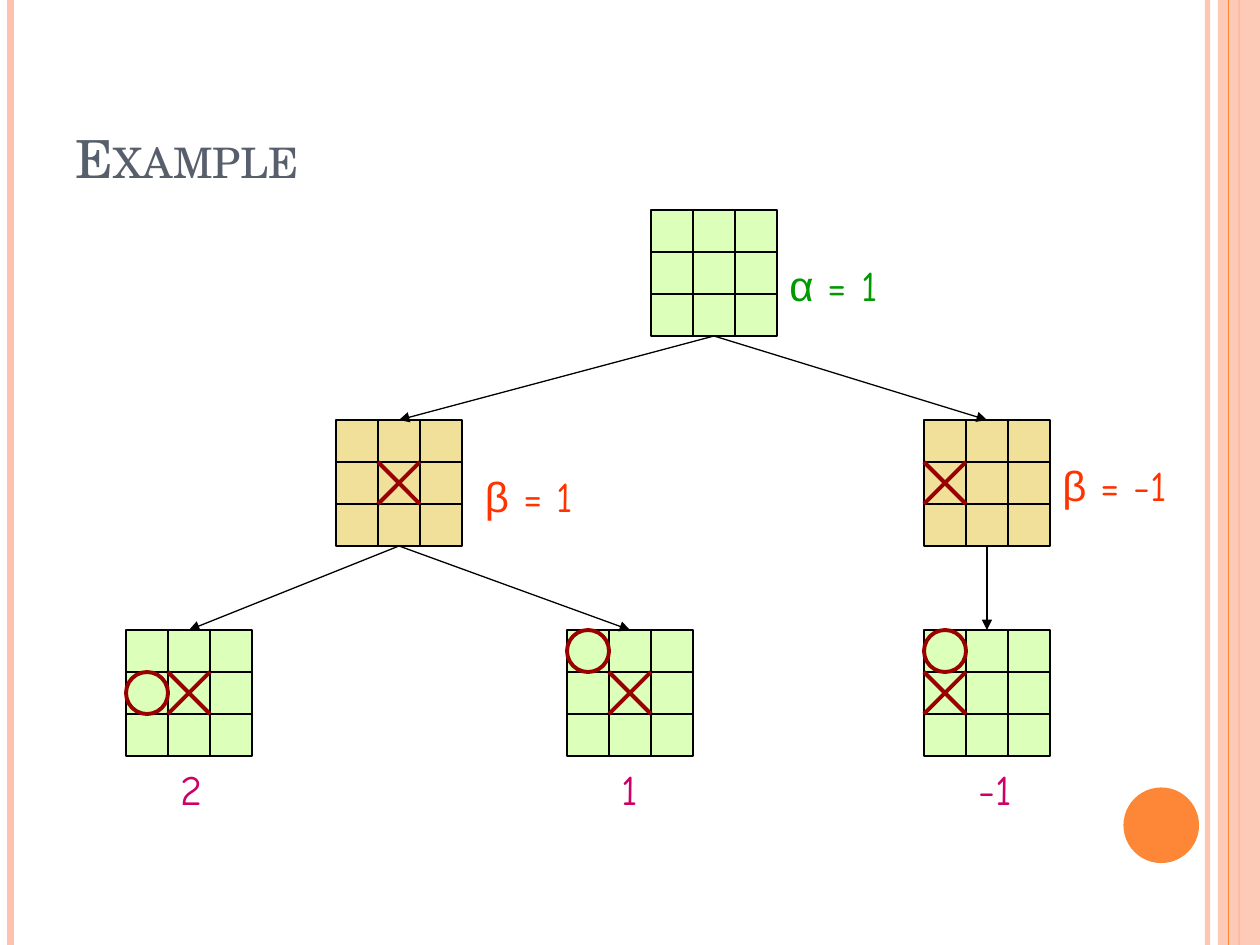
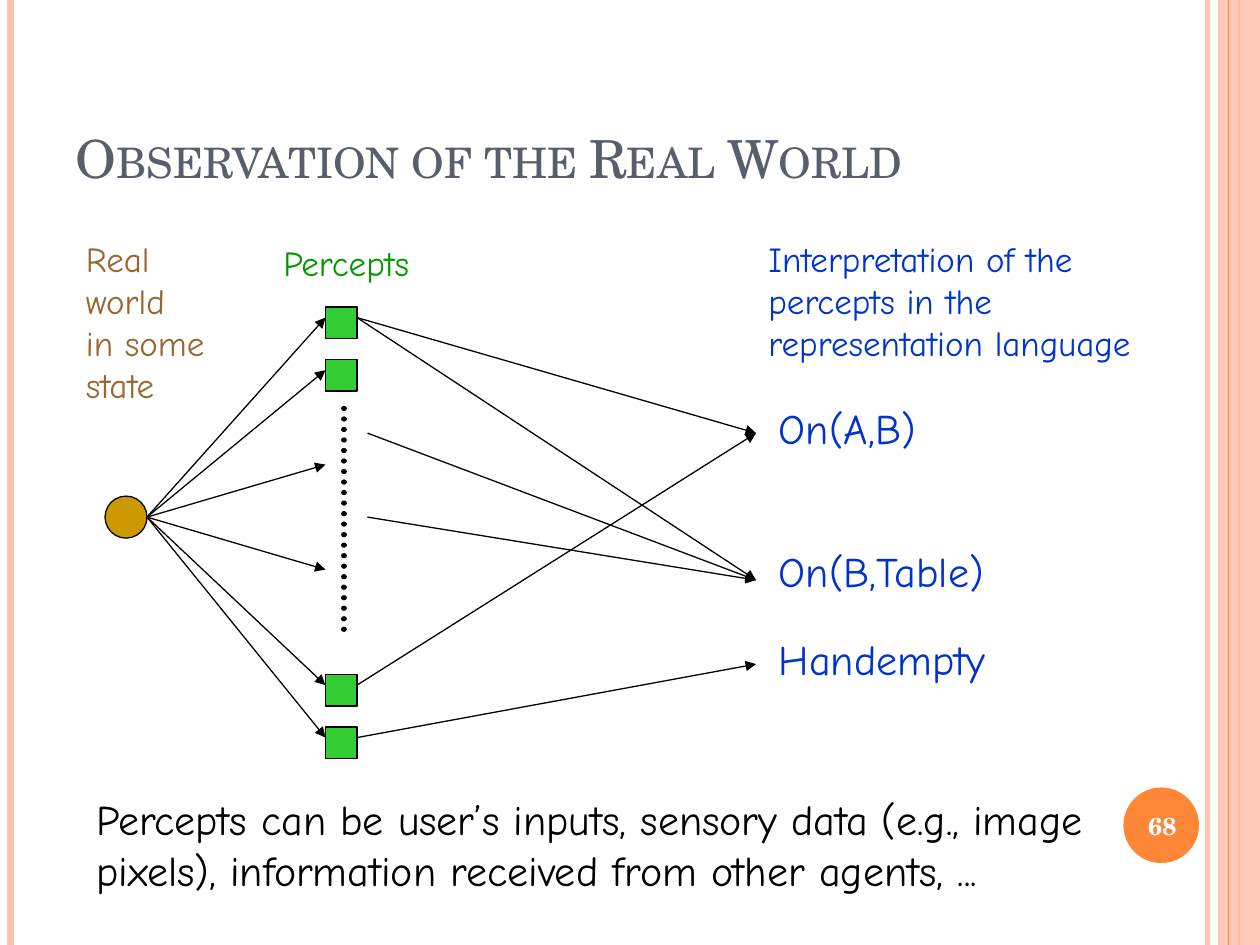
from dataclasses import dataclass
from itertools import product

from lxml import etree
from pptx import Presentation, util as u
from pptx.dml.color import RGBColor
from pptx.enum import dml, shapes, text
from pptx.oxml.ns import qn

# Grid: 120 columns by 90 rows on a 10 x 7.5 inch slide
WIDE, HIGH = u.Inches(10), u.Inches(7.5)
COLS, ROWS = 120, 90

SERIF, HAND, GREEK = "TeX Gyre Schola", "Comic Neue", "Arial"
PEACH, ORANGE, SLATE = "FEC3AE", "FE8637", "575F6D"
BLACK, WHITE, LIME, SAND = "000000", "FFFFFF", "DCFFB9", "F0E09A"
MARK, SCORE, GREEN, RED = "990000", "CC0066", "009900", "FF3300"
BLUE, BROWN, GOLD, LEAF = "0033CC", "996633", "CC9900", "33CC33"
RECT, OVAL = shapes.MSO_SHAPE.RECTANGLE, shapes.MSO_SHAPE.OVAL

Spot = tuple[float, float]


@dataclass
class Note:
    text: str
    col: float
    row: float
    wide: float
    high: float
    tint: str
    size: float = 24
    font: str = HAND
    greek: str = ""
    wrap: bool = False
    bold: bool = False
    caps: bool = False
    align: text.PP_ALIGN = text.PP_ALIGN.LEFT
    anchor: text.MSO_ANCHOR = text.MSO_ANCHOR.TOP


@dataclass
class Board:
    col: float
    row: float
    fill: str = LIME
    cross: Spot | None = None
    ring: Spot | None = None

    def top(self) -> Spot:
        return self.col + SIDE / 2, self.row

    def foot(self) -> Spot:
        return self.col + SIDE / 2, self.row + SIDE

    def cell(self, spot: Spot) -> Spot:
        return self.col + spot[0] * CELL, self.row + spot[1] * CELL


CELL = 4
SIDE = 3 * CELL


def across(col: float) -> int:
    return round(WIDE * col / COLS)


def down(row: float) -> int:
    return round(HIGH * row / ROWS)


def paint(part, tint: str, alpha: int = 100) -> None:
    """Give a fill a solid colour, see-through below 100 percent."""
    part.solid()
    part.fore_color.rgb = RGBColor.from_string(tint)
    if alpha < 100:
        clr = part._xPr.find(".//" + qn("a:srgbClr"))
        etree.SubElement(clr, qn("a:alpha"), val=str(alpha * 1000))


def line(slide, start: Spot, end: Spot, tint: str = BLACK, width: float = 0.75,
         arrow: bool = False, dots: bool = False, alpha: int = 100) -> None:
    link = slide.shapes.add_connector(
        shapes.MSO_CONNECTOR.STRAIGHT, across(start[0]), down(start[1]),
        across(end[0]), down(end[1]))
    paint(link.line.fill, tint, alpha)
    link.line.width = u.Pt(width)
    pen = link.line._get_or_add_ln()
    if dots:
        link.line.dash_style = dml.MSO_LINE.ROUND_DOT
        pen.set("cap", "rnd")
    if arrow:
        etree.SubElement(pen, qn("a:tailEnd"), type="triangle")
    etree.SubElement(link._element.spPr, qn("a:effectLst"))


def shape(slide, kind, spot: Spot, wide: float, high: float,
          fill: str | None = None, edge: str | None = None,
          width: float = 0.75, alpha: int = 100) -> None:
    form = slide.shapes.add_shape(
        kind, across(spot[0]), down(spot[1]), across(wide), down(high))
    form.shadow.inherit = False
    if fill:
        paint(form.fill, fill, alpha)
    else:
        form.fill.background()
    if edge:
        paint(form.line.fill, edge)
        form.line.width = u.Pt(width)
    else:
        form.line.fill.background()


def style(run, note: Note, font: str) -> None:
    run.font.name = font
    run.font.size = u.Pt(note.size)
    run.font.bold = note.bold
    run.font.color.rgb = RGBColor.from_string(note.tint)
    if note.caps:
        run._r.get_or_add_rPr().set("cap", "small")


def write(slide, note: Note) -> None:
    box = slide.shapes.add_textbox(across(note.col), down(note.row),
                                   across(note.wide), down(note.high))
    frame = box.text_frame
    frame.word_wrap = note.wrap
    frame.vertical_anchor = note.anchor
    if not note.wrap:
        frame.auto_size = text.MSO_AUTO_SIZE.SHAPE_TO_FIT_TEXT
    frame.text = note.greek or note.text
    for para in frame.paragraphs:
        para.alignment = note.align
        for run in para.runs:
            style(run, note, GREEK if note.greek else note.font)
    if note.greek:
        rest = frame.paragraphs[0].add_run()
        rest.text = note.text
        style(rest, note, note.font)


def base(deck, title: str, page: str = ""):
    """Add a slide with the side bands, the disc and the title."""
    slide = deck.slides.add_slide(deck.slide_layouts[6])
    line(slide, (115, 0), (115, ROWS), PEACH, 3, alpha=93)
    line(slide, (1, 0), (1, ROWS), PEACH, 4.5)
    line(slide, (118, 0), (118, ROWS), ORANGE, 1.5)
    shape(slide, RECT, (116, 0), 4, ROWS, PEACH, alpha=87)
    line(slide, (117, 0), (117, ROWS), ORANGE)
    shape(slide, OVAL, (107, 75), 7.2, 7.2, ORANGE)
    write(slide, Note(title, 6, 3.6, 98, 15, SLATE, 30, SERIF, wrap=True,
                      caps=True, anchor=text.MSO_ANCHOR.BOTTOM))
    if page:
        write(slide, Note(page, 106.7, 75.2, 8, 6.8, WHITE, 14, SERIF,
                          wrap=True, bold=True, align=text.PP_ALIGN.CENTER,
                          anchor=text.MSO_ANCHOR.MIDDLE))
    return slide


def draw(slide, board: Board) -> None:
    col, row = board.col, board.row
    shape(slide, RECT, (col, row), SIDE, SIDE, board.fill, BLACK)
    for step in (CELL, 2 * CELL):
        line(slide, (col + step, row), (col + step, row + SIDE))
        line(slide, (col, row + step), (col + SIDE, row + step))
    if board.cross:
        x, y = board.cell(board.cross)
        line(slide, (x, y), (x + CELL, y + CELL), MARK, 2.25)
        line(slide, (x, y + CELL), (x + CELL, y), MARK, 2.25)
    if board.ring:
        shape(slide, OVAL, board.cell(board.ring), CELL, CELL,
              edge=MARK, width=2.25)


def game(deck) -> None:
    slide = base(deck, "Example")

    # Boards of the search tree
    root = Board(62, 20)
    mid = Board(32, 40, SAND, cross=(1, 1))
    side = Board(88, 40, SAND, cross=(0, 1))
    ends = [Board(12, 60, cross=(1, 1), ring=(0, 1)),
            Board(54, 60, cross=(1, 1), ring=(0, 0)),
            Board(88, 60, cross=(0, 1), ring=(0, 0))]
    for board in (root, mid, side, *ends):
        draw(slide, board)

    # Moves
    for old, new in ((root, mid), (root, side), (mid, ends[0]),
                     (mid, ends[1]), (side, ends[2])):
        line(slide, old.foot(), new.top(), arrow=True)

    # Bounds and scores
    for note in (Note(" = 1", 74, 24.1, 11.2, 6, GREEN, greek="α"),
                 Note(" = 1", 45, 44.2, 10.8, 6, RED, greek="β"),
                 Note(" = -1", 100, 43.2, 13.7, 6, RED, greek="β"),
                 Note("2", 16, 72.1, 4.8, 6, SCORE),
                 Note("1", 58, 72.1, 4.2, 6, SCORE),
                 Note("-1", 92, 72.1, 5.9, 6, SCORE)):
        write(slide, note)


def world(deck) -> None:
    slide = base(deck, "Observation of the Real World", "68")

    # World state and percepts
    shape(slide, OVAL, (10, 47.25), 4, 4, GOLD, BLACK)
    rows = [30.25, 35.25, 65.25, 70.25]
    for row in rows:
        shape(slide, RECT, (31, row - 1), 3, 3, LEAF, BLACK)
    line(slide, (32.75, 38.9), (32.75, 60.9), width=3, dots=True)

    # Arrows from the world to the percepts
    for row in (*rows, 44.25, 54.25):
        line(slide, (14, 49.25), (31, row), arrow=True)

    # Arrows from the percepts to the facts
    on_ab, on_bt, hand = 41.25, 55.25, 63.25
    pairs = [((34, rows[2]), on_ab), ((34, rows[3]), hand),
             *product([(35, 49.25), (35, 41.25)], [on_bt]),
             *product([(34, rows[0])], [on_ab, on_bt])]
    for start, row in pairs:
        line(slide, start, (72, row), arrow=True)

    # Wording
    for note in (
            Note("Real\nworld\nin some\nstate", 7, 22, 14.9, 17.2, BROWN, 20),
            Note("Percepts", 25.8, 22.4, 16.1, 5.2, GREEN, 20),
            Note("Interpretation of the\vpercepts in the\n"
                 "representation language", 72, 22, 39.7, 13.2, BLUE, 20),
            Note("On(A,B)", 73, 37.7, 17.2, 6, BLUE),
            Note("On(B,Table)", 73, 51.4, 24.7, 6, BLUE),
            Note("Handempty", 73, 59.7, 23.4, 6, BLUE),
            Note("Percepts can be user’s inputs, sensory data (e.g., image\v"
                 "pixels), information received from other agents, ...",
                 8, 75, 105.5, 10.8, BLACK)):
        write(slide, note)


def main() -> None:
    deck = Presentation()
    deck.slide_width, deck.slide_height = WIDE, HIGH
    game(deck)
    world(deck)
    deck.save("out.pptx")


if __name__ == "__main__":
    main()
